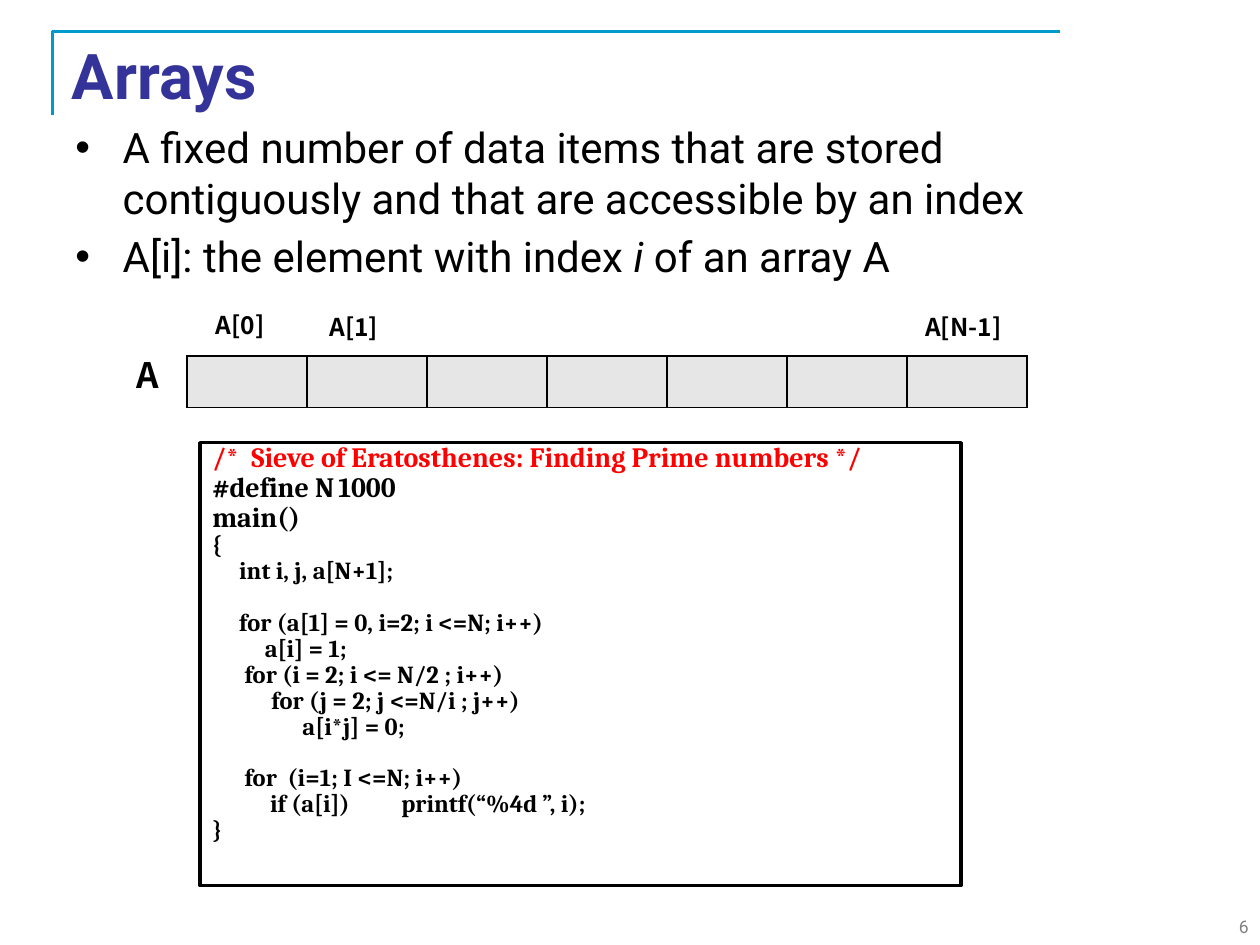
import pptx
import pptx.util
import pptx.dml.color
import pptx.enum.shapes
import pptx.enum.text
import pptx.oxml.ns
from lxml import etree

Pt = pptx.util.Pt
ALIGN = pptx.enum.text.PP_ALIGN
ANCHOR = pptx.enum.text.MSO_ANCHOR

THEME = {
    "accent": "0099CC", "title": "333399", "text": "000000", "muted": "808080",
    "cell": "E6E6E6", "comment": "FF0000", "paper": "FFFFFF",
    "sans": "Roboto", "label": "Noto Sans CJK KR", "code": "Cambria",
    "title_size": 36, "body_size": 24, "name_size": 20, "head_size": 16,
    "small_size": 14, "number_size": 10,
}

TITLE = "Arrays"
BULLETS = [
    [("A fixed number of data items that are stored contiguously "
      "and that are accessible by an index", False)],
    [("A[i]: the element with index ", False), ("i", True), (" of an array A", False)],
]
CELL_COUNT = 7
# text, left, top, width, height, size
LABELS = [
    ("A[0]", 116, 173.5, 42.5, 24.5, "small_size"),
    ("A[1]", 180.9, 174.8, 42.5, 24.5, "small_size"),
    ("A[N-1]", 520.5, 174.8, 60, 24.5, "small_size"),
    ("A", 69.7, 198.7, 29, 31.5, "name_size"),
]
# text, indent, size, colour, starts a new block
CODE = [
    ("/*  Sieve of Eratosthenes: Finding Prime numbers */", 0, "head_size", "comment", False),
    ("#define N\t1000", 0, "head_size", "text", False),
    ("main()", 0, "head_size", "text", False),
    ("{", 0, "small_size", "text", False),
    ("int i, j, a[N+1];", 15.3, "small_size", "text", False),
    ("for (a[1] = 0, i=2; i <=N; i++)", 15.3, "small_size", "text", True),
    ("a[i] = 1;", 30, "small_size", "text", False),
    ("for (i = 2; i <= N/2 ; i++)", 18.4, "small_size", "text", False),
    ("for (j = 2; j <=N/i ; j++)", 33.7, "small_size", "text", False),
    ("a[i*j] = 0;", 51.5, "small_size", "text", False),
    ("for  (i=1; I <=N; i++)", 18.4, "small_size", "text", True),
    ("if (a[i])\tprintf(\u201c%4d \u201d, i);", 33, "small_size", "text", False),
    ("}", 0, "small_size", "text", False),
]
CODE_TABS = {"#define": 99, "if": 111.2}
BLOCK_GAP = 14.6


def color(name):
    """Return a theme colour."""
    return pptx.dml.color.RGBColor.from_string(THEME[name])


def add_node(parent, tag, **values):
    """Append an XML element with the given attributes."""
    node = etree.SubElement(parent, pptx.oxml.ns.qn(tag))
    for key, value in values.items():
        node.set(key, str(value))
    return node


def set_format(target, values):
    """Set attributes from a dict of format values."""
    for key, value in values.items():
        setattr(target, key, value)


def add_span(para, text, size, font="sans", ink="text", bold=False, italic=False):
    """Add a formatted run to a paragraph."""
    span = para.add_run()
    span.text = text
    set_format(span.font, {"size": Pt(THEME[size]), "name": THEME[font],
                           "bold": bold, "italic": italic})
    span.font.color.rgb = color(ink)


def add_box(page, frame, anchor=ANCHOR.TOP, wrap=True):
    """Add a text box and return its text frame."""
    text_frame = page.shapes.add_textbox(*map(Pt, frame)).text_frame
    set_format(text_frame, {"word_wrap": wrap, "vertical_anchor": anchor})
    return text_frame


def paragraphs(text_frame, items):
    """Yield a paragraph for each item."""
    for index, item in enumerate(items):
        yield (text_frame.add_paragraph() if index else text_frame.paragraphs[0]), item


def draw_heading(page):
    """Draw the corner rule and the title."""
    builder = page.shapes.build_freeform(Pt(30), Pt(66))
    builder.add_line_segments([(Pt(30), Pt(18)), (Pt(606), Pt(18))], close=False)
    rule = builder.convert_to_shape()
    rule.shadow.inherit = False
    rule.fill.background()
    rule.line.color.rgb = color("accent")
    rule.line.width = Pt(1.5)
    text_frame = add_box(page, (34, 21, 648, 43), ANCHOR.MIDDLE)
    add_span(text_frame.paragraphs[0], TITLE, "title_size", ink="title", bold=True)


def draw_bullets(page):
    """Draw the bulleted text."""
    text_frame = add_box(page, (36, 66, 648, 100))
    for para, spans in paragraphs(text_frame, BULLETS):
        para.space_before = Pt(4.8)
        props = para._p.get_or_add_pPr()
        props.set("marL", str(Pt(27)))
        props.set("indent", str(Pt(-27)))
        add_node(props, "a:buFont", typeface="Arial")
        add_node(props, "a:buChar", char="\u2022")
        for text, italic in spans:
            add_span(para, text, "body_size", italic=italic)


def draw_array(page):
    """Draw the row of array cells and its labels."""
    table = page.shapes.add_table(1, CELL_COUNT, Pt(106.8), Pt(203.5),
                                  Pt(480), Pt(29.5)).table
    for cell in table.iter_cells():
        set_format(cell, {"margin_top": 0, "margin_bottom": 0})
        props = cell._tc.get_or_add_tcPr()
        for side in ("a:lnL", "a:lnR", "a:lnT", "a:lnB"):
            line = add_node(props, side, w=Pt(1))
            add_node(add_node(line, "a:solidFill"), "a:srgbClr", val=THEME["text"])
        cell.fill.solid()
        cell.fill.fore_color.rgb = color("cell")
    for text, left, top, width, height, size in LABELS:
        para = add_box(page, (left, top, width, height), wrap=False).paragraphs[0]
        para.alignment = ALIGN.CENTER
        add_span(para, text, size, "label", bold=True)


def draw_code(page):
    """Draw the framed program."""
    panel = page.shapes.add_shape(pptx.enum.shapes.MSO_SHAPE.RECTANGLE,
                                  Pt(114.3), Pt(253), Pt(435), Pt(253))
    panel.shadow.inherit = False
    panel.fill.solid()
    panel.fill.fore_color.rgb = color("paper")
    panel.line.color.rgb = color("text")
    panel.line.width = Pt(2)
    set_format(panel.text_frame, {"word_wrap": True, "vertical_anchor": ANCHOR.TOP})
    for para, (text, indent, size, ink, new_block) in paragraphs(panel.text_frame, CODE):
        gap = 0.22 * THEME[size] + (BLOCK_GAP if new_block else 0)
        set_format(para, {"alignment": ALIGN.JUSTIFY, "line_spacing": 0.7,
                          "space_before": Pt(gap)})
        props = para._p.get_or_add_pPr()
        props.set("marL", "0")
        props.set("indent", str(Pt(indent)))
        if "\t" in text:
            stop = CODE_TABS[text.split()[0]]
            add_node(add_node(props, "a:tabLst"), "a:tab", pos=Pt(stop), algn="l")
        add_span(para, text, size, "code", ink, bold=True)


def draw_number(page):
    """Draw the page number."""
    para = add_box(page, (553, 520, 167.5, 20)).paragraphs[0]
    para.alignment = ALIGN.RIGHT
    add_span(para, "6", "number_size", ink="muted")


deck = pptx.Presentation()
set_format(deck, {"slide_width": Pt(720), "slide_height": Pt(540)})
page = deck.slides.add_slide(deck.slide_layouts[6])
for draw in (draw_heading, draw_bullets, draw_array, draw_code, draw_number):
    draw(page)
deck.save("out.pptx")
